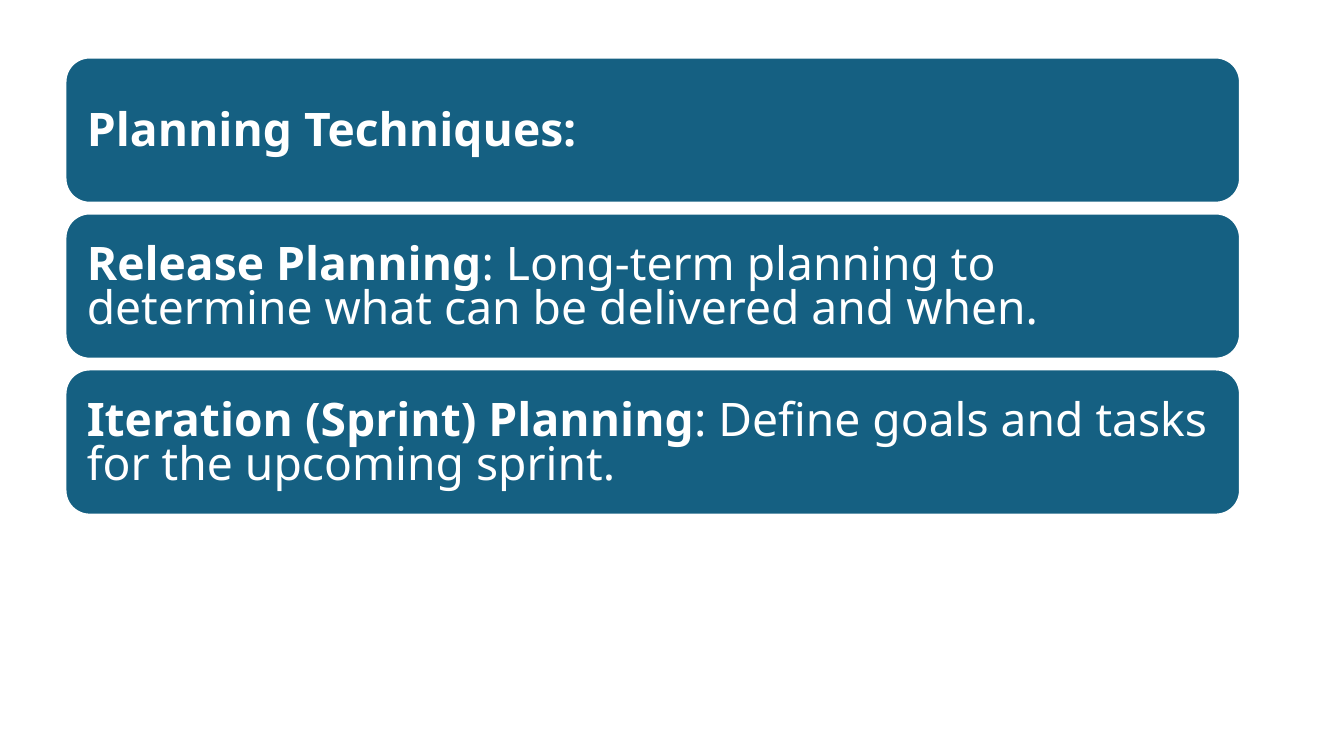
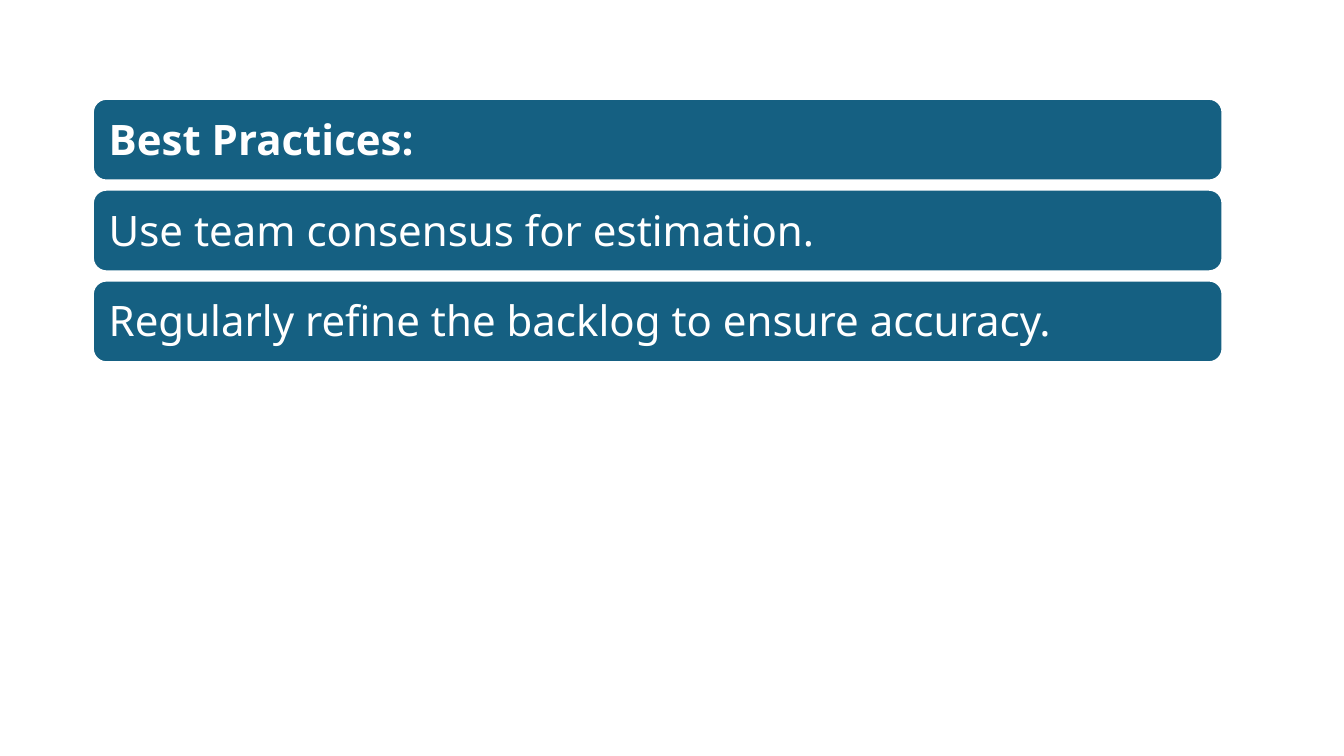
"""Build two slides of stacked rounded text bars on agile planning."""
from pptx import Presentation
from pptx.dml.color import RGBColor
from pptx.enum.shapes import MSO_SHAPE
from pptx.enum.text import MSO_ANCHOR, PP_ALIGN
from pptx.util import Cm, Pt

ROUNDED = MSO_SHAPE.ROUNDED_RECTANGLE
MIDDLE = MSO_ANCHOR.MIDDLE
LEFT = PP_ALIGN.LEFT

COLORS = {"bar": "156082", "white": "FFFFFF"}
FONT = "Noto Sans"
BLANK = 6

PLANNING = [
    ("Planning Techniques:", ""),
    ("Release Planning",
     ": Long-term planning to determine what can be delivered and when."),
    ("Iteration (Sprint) Planning",
     ": Define goals and tasks for the upcoming sprint."),
]
PRACTICES = [
    ("Best Practices:", ""),
    ("", "Use team consensus for estimation."),
    ("", "Regularly refine the backlog to ensure accuracy."),
]


def color(name):
    return RGBColor.from_string(COLORS[name])


def add_bar(s, left, top, width, height, lead, rest, size, inset):
    sp = s.shapes.add_shape(ROUNDED, Cm(left), Cm(top), Cm(width), Cm(height))
    sp.shadow.inherit = False
    sp.fill.solid()
    sp.fill.fore_color.rgb = color("bar")
    sp.line.color.rgb = color("white")
    sp.line.width = Pt(1.5)

    tf = sp.text_frame
    tf.word_wrap = True
    tf.vertical_anchor = MIDDLE
    tf.margin_left = tf.margin_right = Cm(inset)
    tf.margin_top, tf.margin_bottom = Cm(0.17), Cm(0)

    p = tf.paragraphs[0]
    p.alignment = LEFT
    p.line_spacing = 0.8
    p.font.name = FONT
    p.font.size = Pt(size)
    p.font.color.rgb = color("white")
    for text, bold in ((lead, True), (rest, False)):
        if text:
            r = p.add_run()
            r.text = text
            r.font.bold = bold


def add_bar_slide(prs, bars, left, top, width, height, gap, size, inset):
    s = prs.slides.add_slide(prs.slide_layouts[BLANK])
    for i, (lead, rest) in enumerate(bars):
        add_bar(s, left, top + i * (height + gap), width, height,
                lead, rest, size, inset)


def main():
    prs = Presentation()
    prs.slide_width, prs.slide_height = Cm(33.87), Cm(19.05)
    add_bar_slide(prs, PLANNING, left=1.65, top=1.45, width=29.6,
                  height=3.66, gap=0.27, size=33, inset=0.36)
    add_bar_slide(prs, PRACTICES, left=2.34, top=2.49, width=28.47,
                  height=2.06, gap=0.23, size=30, inset=0.3)
    prs.save("out.pptx")


if __name__ == "__main__":
    main()
